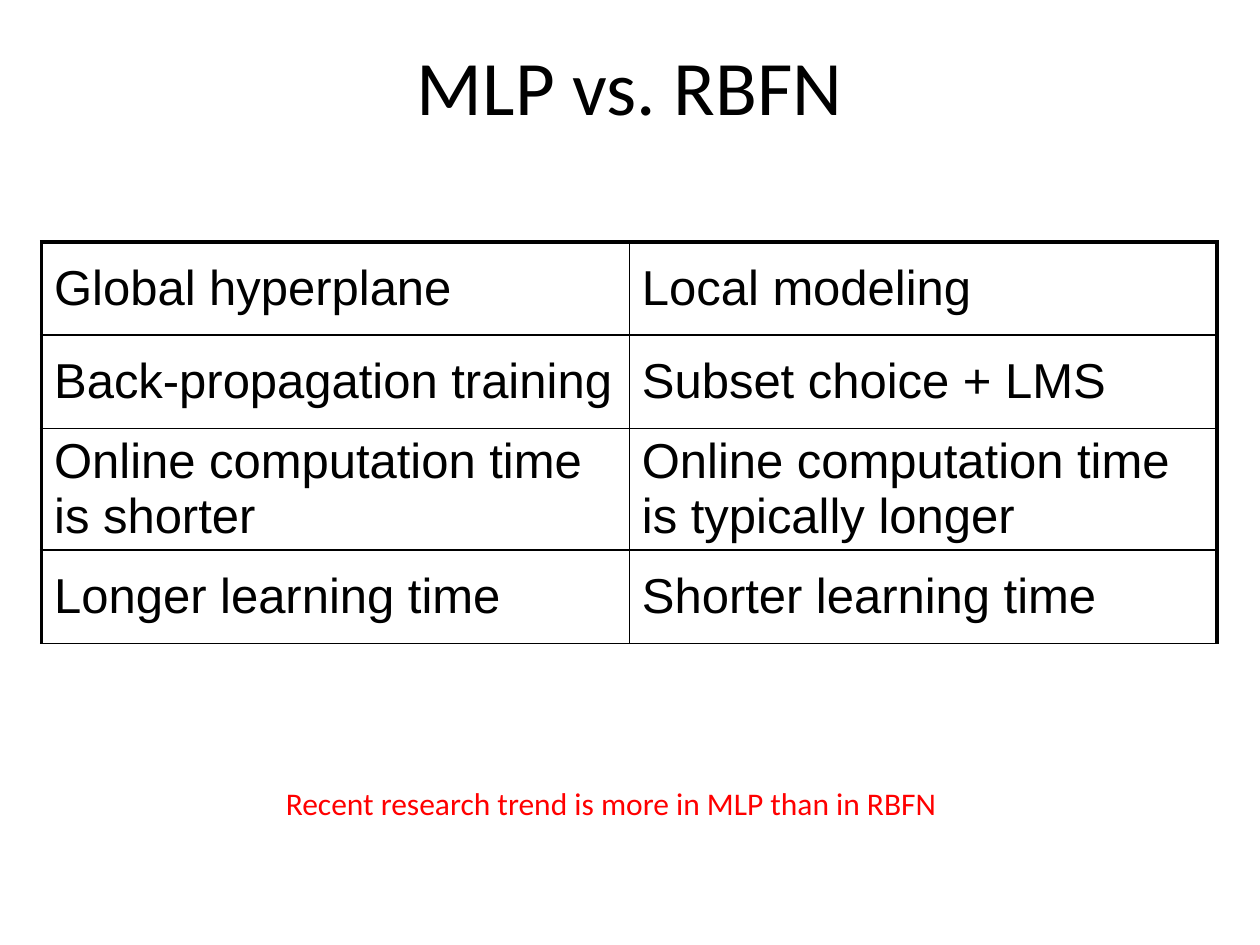
from lxml.etree import SubElement
from pptx import Presentation
from pptx.dml.color import RGBColor
from pptx.enum.text import MSO_ANCHOR, MSO_AUTO_SIZE, PP_ALIGN
from pptx.oxml.ns import qn
from pptx.util import Inches, Pt

BLACK, RED = "000000", "FF0000"
THIN, THICK = 1, 2.25
ROWS = [
    ("Global hyperplane", "Local modeling"),
    ("Back-propagation training", "Subset choice + LMS"),
    ("Online computation time is shorter",
     "Online computation time is typically longer"),
    ("Longer learning time", "Shorter learning time"),
]


def color(value):
    return RGBColor.from_string(value)


def write(tf, text, font="Calibri", size=18, fill=BLACK,
          align=PP_ALIGN.LEFT, anchor=None):
    p = tf.paragraphs[0]
    p.alignment = align
    r = p.add_run()
    r.text = text
    r.font.name = font
    r.font.size = Pt(size)
    r.font.color.rgb = color(fill)
    if anchor is not None:
        tf.vertical_anchor = anchor


def set_borders(cell, **widths):
    tcPr = cell._tc.get_or_add_tcPr()
    for i, side in enumerate("LRTB"):
        ln = SubElement(tcPr, qn(f"a:ln{side}"), w=str(Pt(widths[side])))
        fill = SubElement(ln, qn("a:solidFill"))
        SubElement(fill, qn("a:srgbClr"), val=BLACK)
        tcPr.insert(i, ln)


def add_title(s, text, left, top, width, height):
    sp = s.shapes.title
    sp.left, sp.top = Inches(left), Inches(top)
    sp.width, sp.height = Inches(width), Inches(height)
    write(sp.text_frame, text, size=44, align=PP_ALIGN.CENTER,
          anchor=MSO_ANCHOR.MIDDLE)


def add_comparison(s, rows, left, top, width, height):
    n_rows, n_cols = len(rows), len(rows[0])
    frame = s.shapes.add_table(n_rows, n_cols, Inches(left), Inches(top),
                               Inches(width), Inches(height))
    table = frame.table
    table.first_row = table.horz_banding = False
    for i, row in enumerate(rows):
        for j, text in enumerate(row):
            cell = table.cell(i, j)
            cell.fill.background()
            cell.vertical_anchor = MSO_ANCHOR.MIDDLE
            write(cell.text_frame, text, font="Arial", size=28)
            set_borders(cell, L=THICK if j == 0 else THIN,
                        R=THICK if j == n_cols - 1 else THIN,
                        T=THICK if i == 0 else THIN, B=THIN)


def add_note(s, text, left, top, width, height):
    sp = s.shapes.add_textbox(Inches(left), Inches(top),
                              Inches(width), Inches(height))
    tf = sp.text_frame
    tf.word_wrap = False
    tf.auto_size = MSO_AUTO_SIZE.SHAPE_TO_FIT_TEXT
    write(tf, text, fill=RED)


prs = Presentation()
prs.slide_width, prs.slide_height = Inches(10), Inches(7.5)
s = prs.slides.add_slide(prs.slide_layouts[5])
add_title(s, "MLP vs. RBFN", 0.5, 0.17, 9, 1)
add_comparison(s, ROWS, 0.33, 1.92, 9.33, 2.96)
add_note(s, "Recent research trend is more in MLP than in RBFN",
         2.17, 6.17, 5.43, 0.4)
prs.save("out.pptx")
